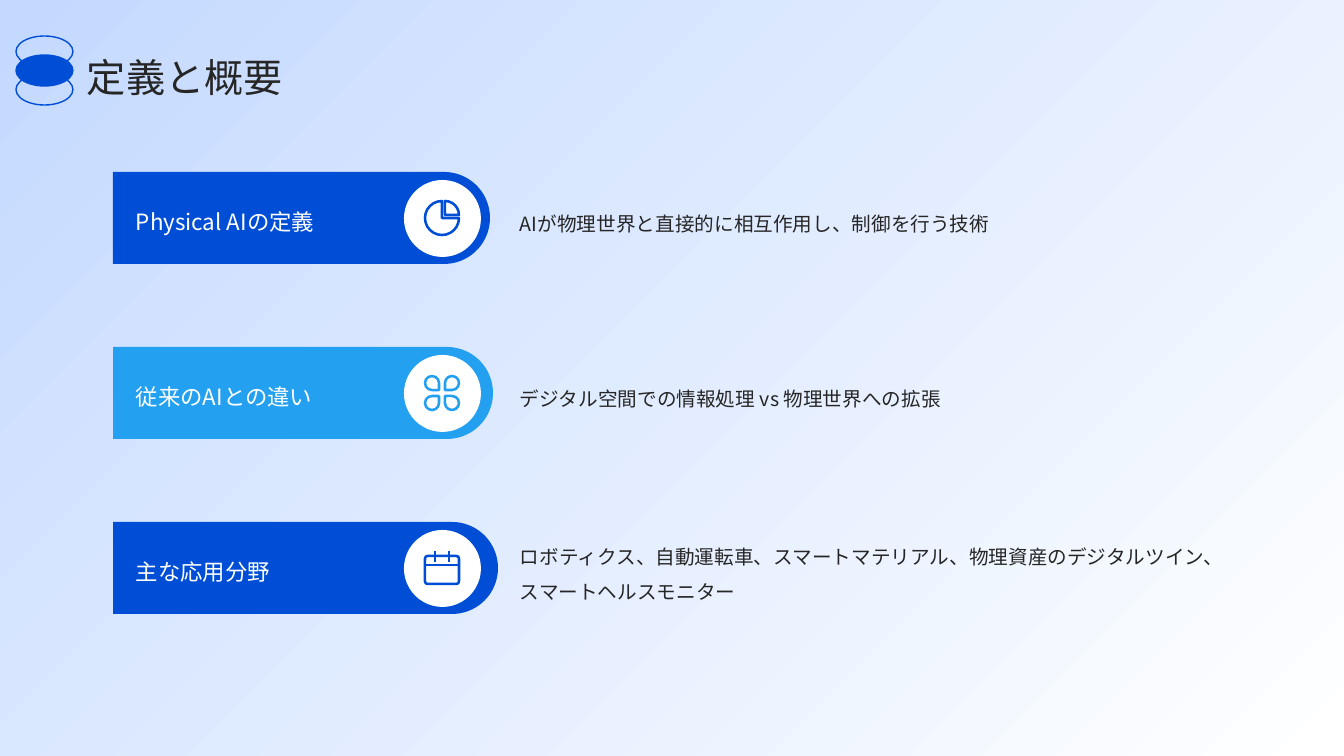
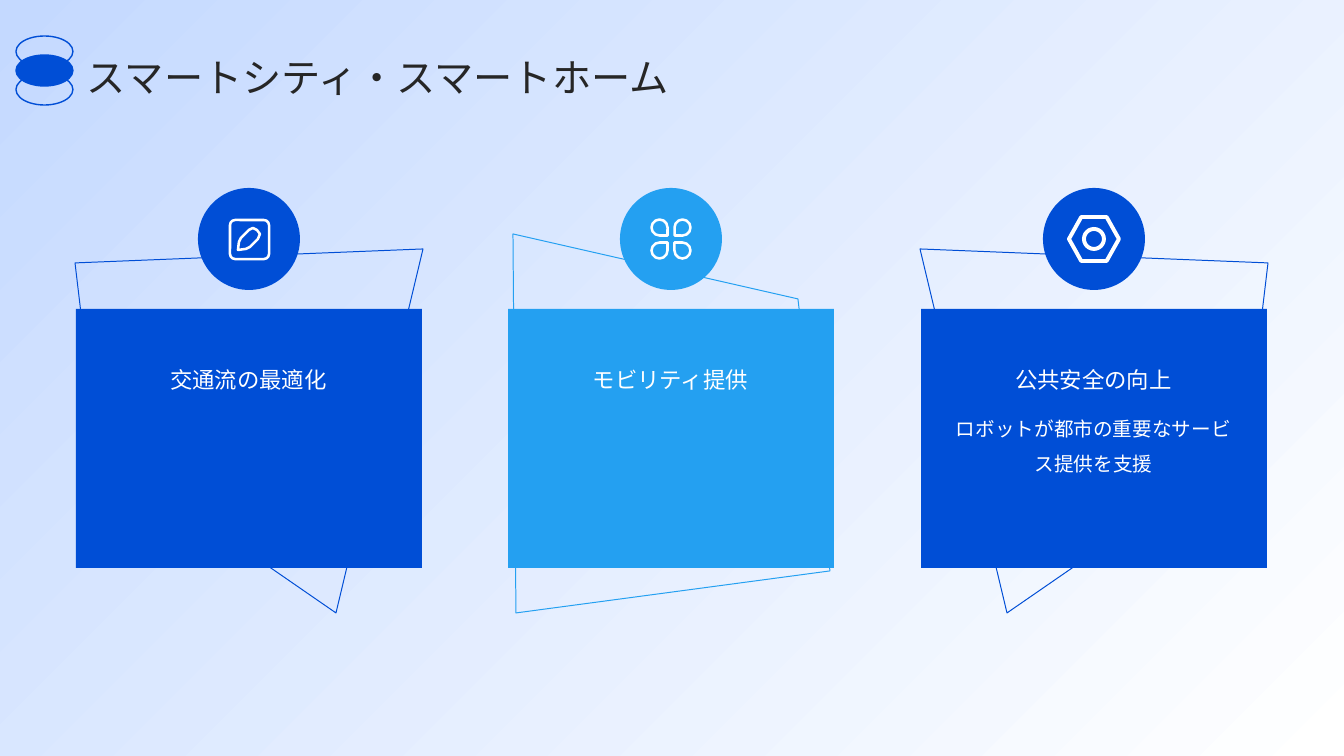
from lxml import etree
from pptx import Presentation
from pptx.dml.color import RGBColor
from pptx.enum.shapes import MSO_CONNECTOR, MSO_SHAPE
from pptx.enum.text import MSO_ANCHOR, MSO_AUTO_SIZE, PP_ALIGN
from pptx.oxml.ns import qn
from pptx.util import Pt

SLIDE_W, SLIDE_H = 1344, 756
SCALE = 12192000 / SLIDE_W
TITLE_ONLY = 5

BLUE = RGBColor(0x00, 0x4E, 0xD6)
SKY = RGBColor(0x24, 0xA0, 0xF1)
PALE = RGBColor(0xC4, 0xD9, 0xFF)
WHITE = RGBColor(0xFF, 0xFF, 0xFF)
INK = RGBColor(0x26, 0x26, 0x26)

FONT = "Noto Sans CJK JP"
ELLIPSE, RECT, ROUNDED = MSO_SHAPE.OVAL, MSO_SHAPE.RECTANGLE, MSO_SHAPE.ROUNDED_RECTANGLE
BAR, PIE, TEAR, HEXAGON = MSO_SHAPE.ROUND_2_SAME_RECTANGLE, MSO_SHAPE.PIE, MSO_SHAPE.TEAR, MSO_SHAPE.HEXAGON
STRAIGHT = MSO_CONNECTOR.STRAIGHT
LEFT, CENTER = PP_ALIGN.LEFT, PP_ALIGN.CENTER
TOP, MIDDLE, BOTTOM = MSO_ANCHOR.TOP, MSO_ANCHOR.MIDDLE, MSO_ANCHOR.BOTTOM
NO_AUTOSIZE = MSO_AUTO_SIZE.NONE

TITLE = {"size": 28, "color": INK, "spacing": 1.1, "anchor": MIDDLE, "align": LEFT}
LABEL = {"size": 16, "color": WHITE, "spacing": 1.3, "anchor": MIDDLE, "align": LEFT}
DETAIL = {"size": 14, "color": INK, "spacing": 1.5, "anchor": MIDDLE, "align": LEFT}
CARD_TITLE = {**LABEL, "anchor": BOTTOM, "align": CENTER}
CARD_BODY = {**DETAIL, "color": WHITE, "anchor": TOP, "align": CENTER}


def px(value):
    return round(value * SCALE)


def set_all(target, values):
    for name, value in values.items():
        setattr(target, name, value)


def paint(sp, fill=None, line=None, weight=1):
    sp.shadow.inherit = False
    if fill is None:
        sp.fill.background()
    else:
        sp.fill.solid()
        sp.fill.fore_color.rgb = fill
    if line is None:
        sp.line.fill.background()
    else:
        sp.line.color.rgb = line
        sp.line.width = Pt(weight)
    return sp


def add_preset(s, kind, box, adjustments=(), rotation=0, **look):
    sp = s.shapes.add_shape(kind, *map(px, box))
    for i, value in enumerate(adjustments):
        sp.adjustments[i] = value
    sp.rotation = rotation
    return paint(sp, **look)


def add_outline(s, x, y, points, **look):
    corners = [(px(x + dx), px(y + dy)) for dx, dy in points]
    builder = s.shapes.build_freeform(*corners[0], scale=1.0)
    builder.add_line_segments(corners[1:], close=True)
    return paint(builder.convert_to_shape(), **look)


def add_stroke(s, x1, y1, x2, y2, color, weight):
    cxn = s.shapes.add_connector(STRAIGHT, *map(px, (x1, y1, x2, y2)))
    cxn.line.color.rgb = color
    cxn.line.width = Pt(weight)
    etree.SubElement(cxn._element.spPr, qn("a:effectLst"))


def write(sp, text, style):
    tf = sp.text_frame
    set_all(tf, {
        "word_wrap": True, "auto_size": NO_AUTOSIZE, "vertical_anchor": style["anchor"],
        "margin_left": 0, "margin_right": 0, "margin_top": 0, "margin_bottom": 0,
    })
    p = tf.paragraphs[0]
    set_all(p, {"alignment": style["align"], "line_spacing": style["spacing"]})
    r = p.add_run()
    r.text = text
    set_all(r.font, {"name": FONT, "size": Pt(style["size"])})
    r.font.color.rgb = style["color"]
    r.font._element.find(qn("a:latin")).addnext(
        etree.Element(qn("a:ea"), typeface=FONT))


def add_text(s, box, text, style):
    write(s.shapes.add_textbox(*map(px, box)), text, style)


def chart_icon(s, cx, cy, color):
    x, y = cx - 18, cy - 18
    look = {"line": color, "weight": 1.8}
    add_preset(s, PIE, (x + 1, y + 1, 34, 34), **look)
    add_preset(s, PIE, (x + 7, y + 1, 28, 28), (162, 0), **look)


def clover_icon(s, cx, cy, color, size=36):
    x, y = cx - size / 2, cy - size / 2
    petal = size * 4 // 9
    step = size - petal
    for col, row, rotation in ((0, 0, 90), (1, 0, 180), (0, 1, 0), (1, 1, 270)):
        box = (x + col * step + 1, y + row * step + 1, petal - 2, petal - 2)
        add_preset(s, TEAR, box, rotation=rotation, line=color, weight=1.8)


def large_clover_icon(s, cx, cy, color):
    clover_icon(s, cx, cy, color, 41)


def calendar_icon(s, cx, cy, color):
    x, y = cx - 18, cy - 17
    add_preset(s, ROUNDED, (x + 1, y + 5, 34, 28), (0.1,), line=color, weight=1.8)
    for x1, y1, x2, y2 in ((1, 14, 35, 14), (11, 0, 11, 11), (25, 0, 25, 11)):
        add_stroke(s, x + x1, y + y1, x + x2, y + y2, color, 1.8)


def pencil_icon(s, cx, cy, color):
    x, y = cx - 20, cy - 20
    look = {"line": color, "weight": 1.8}
    add_preset(s, ROUNDED, (x + 1, y + 1, 39, 39), (0.13,), **look)
    leaf = ((9, 31), (10, 23), (12, 19), (20, 11), (24, 9), (28, 11),
            (31, 15), (29, 20), (21, 28), (17, 30))
    add_outline(s, x, y, leaf, **look)


def nut_icon(s, cx, cy, color):
    look = {"line": color, "weight": 2.8}
    add_preset(s, HEXAGON, (cx - 25, cy - 22, 50, 44), (0.28,), **look)
    add_preset(s, ELLIPSE, (cx - 10, cy - 10, 20, 20), **look)


def add_ornament(s, x, y, w, h):
    for step, fill in ((2, None), (1, BLUE), (0, None)):
        add_preset(s, ELLIPSE, (x, y + step * 19, w, h), fill=fill, line=BLUE)


def new_slide(prs, title):
    s = prs.slides.add_slide(prs.slide_layouts[TITLE_ONLY])
    sp = s.shapes.title
    set_all(sp, {"left": px(87), "top": px(49), "width": px(1176), "height": px(51)})
    write(sp, title, TITLE)
    add_ornament(s, 16, 36, 57, 31)
    return s


def add_row(s, x, y, h, bar_w, color, icon, label, detail):
    cy = y + h / 2
    bar = (x + (bar_w - h) / 2, cy - bar_w / 2, h, bar_w)
    add_preset(s, BAR, bar, (0.5, 0), rotation=90, fill=color)
    add_preset(s, ELLIPSE, (x + 291, cy - 38, 77, 77), fill=WHITE)
    icon(s, x + 329, cy, color)
    add_text(s, (x + 23, y, 254, h), label, LABEL)
    add_text(s, (x + 407, y, 714, h), detail, DETAIL)


def add_card(s, x, y, w, h, inset, color, frame, icon, title, body):
    cx, cy = x + w / 2, y - 70
    add_outline(s, x, y, frame, line=color, weight=0.7)
    add_preset(s, RECT, (x + inset, y, w - 2 * inset, h), fill=color)
    add_preset(s, ELLIPSE, (cx - 51, cy - 51, 102, 102), fill=color)
    icon(s, cx, cy, WHITE)
    add_text(s, (x + 30, y + 11, w - 61, 73), title, CARD_TITLE)
    if body:
        add_text(s, (x + 30, y + 96, w - 61, 150), body, CARD_BODY)


def definition_slide(prs):
    s = new_slide(prs, "定義と概要")
    rows = (
        (377, BLUE, chart_icon, "Physical AIの定義",
         "AIが物理世界と直接的に相互作用し、制御を行う技術"),
        (380, SKY, clover_icon, "従来のAIとの違い",
         "デジタル空間での情報処理 vs 物理世界への拡張"),
        (385, BLUE, calendar_icon, "主な応用分野",
         "ロボティクス、自動運転車、スマートマテリアル、物理資産のデジタルツイン、スマートヘルスモニター"),
    )
    for i, row in enumerate(rows):
        add_row(s, 113, 172 + i * 175, 92, *row)


def smart_city_slide(prs):
    s = new_slide(prs, "スマートシティ・スマートホーム")
    card_w = 346
    left_frame = ((260, 304), (21, 139), (-1, -46), (347, -60))
    middle_frame = ((332, 262), (18, 304), (15, -75), (300, -10))
    right_frame = [(card_w - dx, dy) for dx, dy in left_frame]
    cards = (
        (0, BLUE, left_frame, pencil_icon, "交通流の最適化", None),
        (10, SKY, middle_frame, large_clover_icon, "モビリティ提供", None),
        (0, BLUE, right_frame, nut_icon, "公共安全の向上",
         "ロボットが都市の重要なサービス提供を支援"),
    )
    for i, card in enumerate(cards):
        add_card(s, 76 + i * 845 // 2, 309, card_w, 259, *card)


def set_background(master):
    fill = master.background.fill
    fill.gradient()
    fill.gradient_angle = 315
    for stop, color in zip(fill.gradient_stops, (PALE, WHITE)):
        stop.color.rgb = color


def main():
    prs = Presentation()
    set_all(prs, {"slide_width": px(SLIDE_W), "slide_height": px(SLIDE_H)})
    set_background(prs.slide_master)
    definition_slide(prs)
    smart_city_slide(prs)
    prs.save("out.pptx")


if __name__ == "__main__":
    main()
